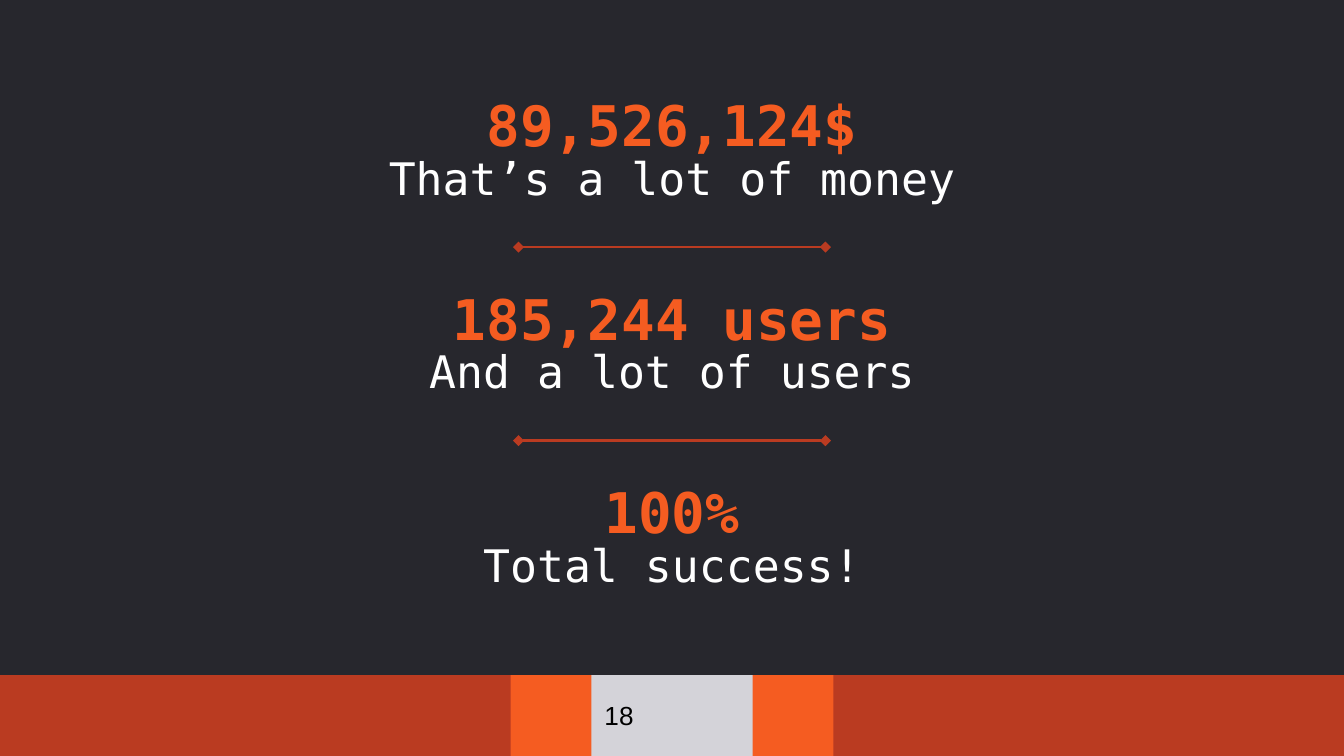
from dataclasses import dataclass

from lxml import etree
from pptx import Presentation
from pptx.dml.color import RGBColor
from pptx.enum.shapes import MSO_CONNECTOR, MSO_SHAPE
from pptx.enum.text import MSO_ANCHOR, MSO_AUTO_SIZE, PP_ALIGN
from pptx.oxml.ns import qn
from pptx.util import Cm, Pt

RECT = MSO_SHAPE.RECTANGLE
STRAIGHT = MSO_CONNECTOR.STRAIGHT
TOP, MIDDLE, BOTTOM = MSO_ANCHOR.TOP, MSO_ANCHOR.MIDDLE, MSO_ANCHOR.BOTTOM
LEFT, CENTER = PP_ALIGN.LEFT, PP_ALIGN.CENTER
NO_FIT = MSO_AUTO_SIZE.NONE
TITLE_ONLY = 5

WIDTH, HEIGHT = 25.4, 14.29
MARGIN = 1.9
PITCH = 3.66
FOOTER_TOP = 12.76
RULE_WIDTH = 5.8


@dataclass(frozen=True)
class Theme:
    """Colours, fonts and type sizes of the slide."""
    back: str = "27272D"
    brick: str = "BA3B21"
    orange: str = "F55C21"
    pale: str = "D4D3D9"
    white: str = "FFFFFF"
    black: str = "000000"
    mono: str = "DejaVu Sans Mono"
    sans: str = "Arial"
    figure: int = 30
    caption: int = 24
    number: int = 14


def rgb(color):
    """Turn a hex string into a colour."""
    return RGBColor.from_string(color)


def write(shape, text, *, size, font, color, bold=False, align=CENTER,
          anchor=TOP, spacing=1.0):
    """Put one formatted paragraph into a shape."""
    tf = shape.text_frame
    tf.word_wrap = True
    tf.auto_size = NO_FIT
    tf.vertical_anchor = anchor
    tf.margin_left = tf.margin_right = Cm(0.25)
    tf.margin_top = tf.margin_bottom = Cm(0.25)
    p = tf.paragraphs[0]
    p.alignment = align
    p.line_spacing = spacing
    r = p.add_run()
    r.text = text
    r.font.size = Pt(size)
    r.font.name = font
    r.font.bold = bold
    r.font.color.rgb = rgb(color)


class Builder:
    """Draws styled elements on the current slide."""

    def __init__(self, s, theme):
        """Keep the slide and theme, and paint the background."""
        self.s, self.theme = s, theme
        s.background.fill.solid()
        s.background.fill.fore_color.rgb = rgb(theme.back)

    def band(self, width, color):
        """Add a footer rectangle centred on the slide."""
        sp = self.s.shapes.add_shape(
            RECT, Cm((WIDTH - width) / 2), Cm(FOOTER_TOP),
            Cm(width), Cm(HEIGHT - FOOTER_TOP))
        sp.shadow.inherit = False
        sp.fill.solid()
        sp.fill.fore_color.rgb = rgb(color)
        sp.line.fill.background()
        return sp

    def text(self, top, height, text, sp=None, **fmt):
        """Write text across the content width, in sp or a new box."""
        box = Cm(MARGIN), Cm(top), Cm(WIDTH - 2 * MARGIN), Cm(height)
        if sp is None:
            sp = self.s.shapes.add_textbox(*box)
        else:
            sp.left, sp.top, sp.width, sp.height = box
        write(sp, text, font=self.theme.mono, **fmt)

    def statistic(self, top, figure, caption, sp=None):
        """Add a large figure with its caption below."""
        t = self.theme
        self.text(top, 2.49, figure, sp, size=t.figure, color=t.orange,
                  bold=True, anchor=BOTTOM)
        self.text(top + 1.7, 1.3, caption, size=t.caption, color=t.white,
                  spacing=1.15)

    def rule(self, y):
        """Add a centred line with a diamond at each end."""
        left = (WIDTH - RULE_WIDTH) / 2
        line = self.s.shapes.add_connector(
            STRAIGHT, Cm(left), Cm(y), Cm(left + RULE_WIDTH), Cm(y))
        line.line.color.rgb = rgb(self.theme.brick)
        line.line.width = Pt(1.5)
        ln = line.line._get_or_add_ln()
        for end in ("a:headEnd", "a:tailEnd"):
            etree.SubElement(ln, qn(end), type="diamond")
        etree.SubElement(line._element.spPr, qn("a:effectLst"))


def main():
    """Build and save the slide."""
    prs = Presentation()
    prs.slide_width, prs.slide_height = Cm(WIDTH), Cm(HEIGHT)
    s = prs.slides.add_slide(prs.slide_layouts[TITLE_ONLY])
    t = Theme()
    b = Builder(s, t)

    b.band(WIDTH, t.brick)
    b.band(6.1, t.orange)
    write(b.band(3.05, t.pale), "18", size=t.number, font=t.sans,
          color=t.black, align=LEFT, anchor=MIDDLE)

    statistics = [
        ("89,526,124$", "That’s a lot of money"),
        ("185,244 users", "And a lot of users"),
        ("100%", "Total success!"),
    ]
    for i, (figure, caption) in enumerate(statistics):
        b.statistic(0.74 + i * PITCH, figure, caption,
                    s.shapes.title if i == 0 else None)
        if i:
            b.rule(4.67 + (i - 1) * PITCH)

    prs.save("out.pptx")


main()
